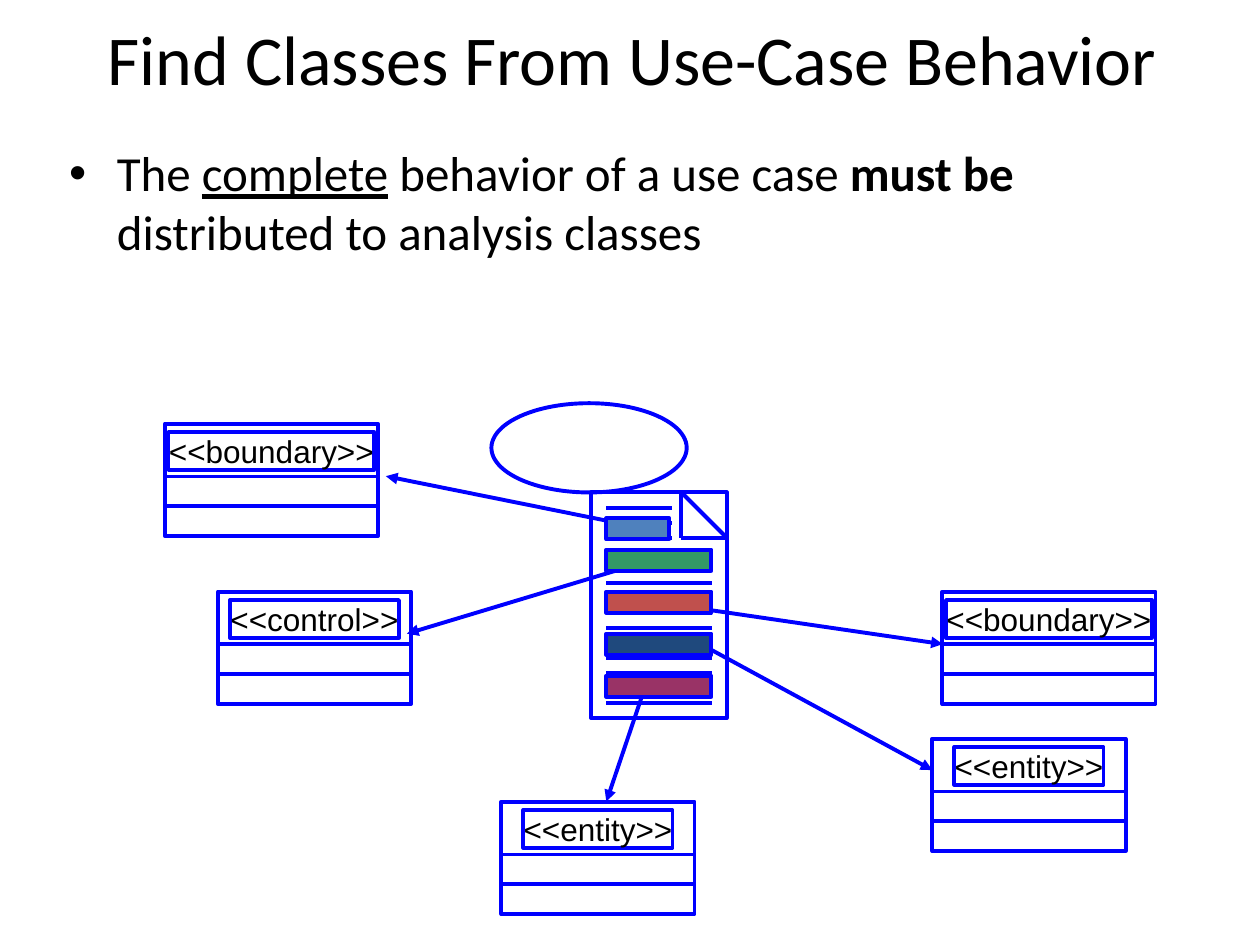
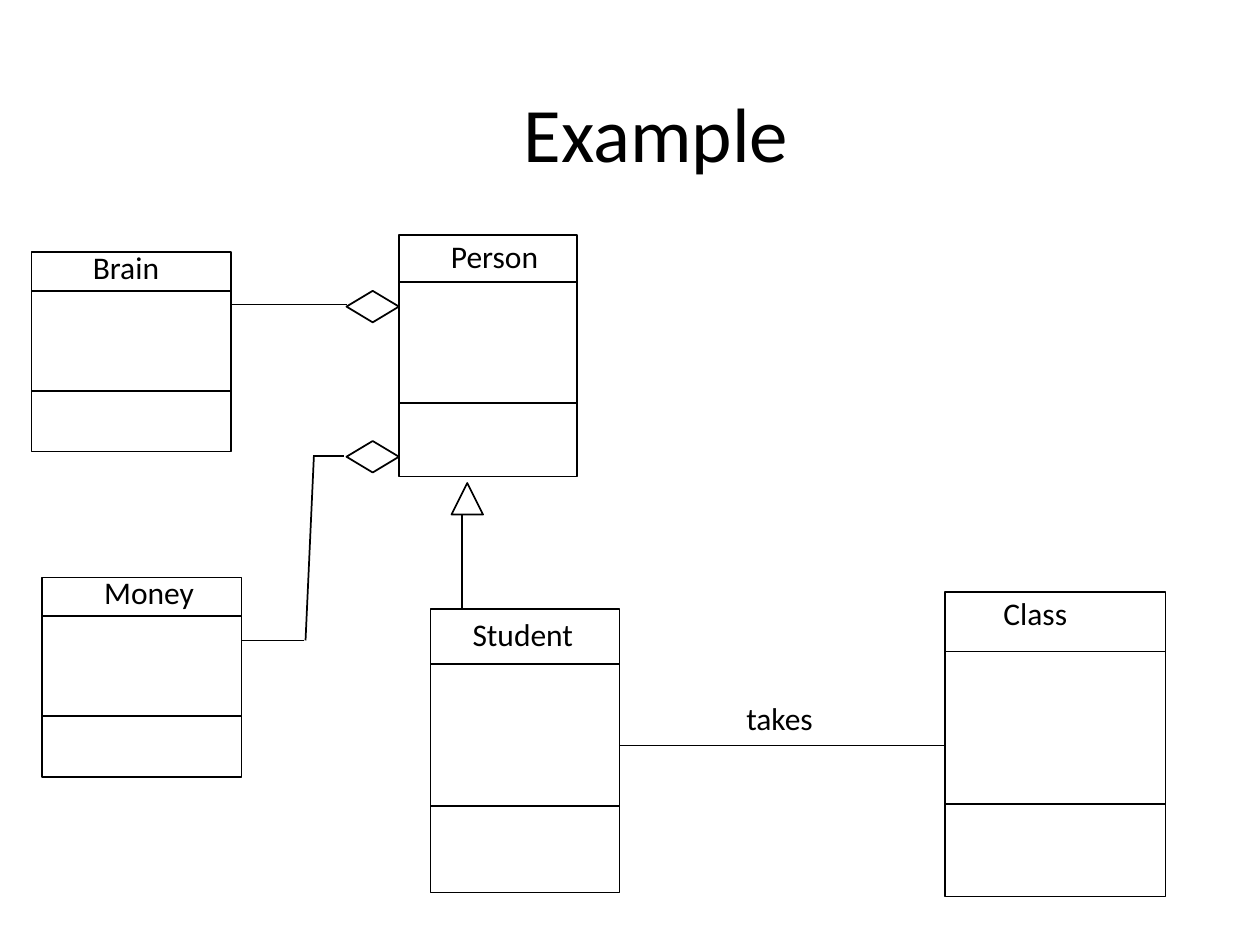
from lxml.etree import SubElement
from pptx import Presentation
from pptx.dml.color import RGBColor
from pptx.enum.shapes import MSO_CONNECTOR, MSO_SHAPE
from pptx.enum.text import MSO_ANCHOR, PP_ALIGN
from pptx.oxml.ns import qn
from pptx.util import Inches, Pt

BLUE = RGBColor(0x00, 0x00, 0xFF)
BLACK = RGBColor(0x00, 0x00, 0x00)
STEEL = RGBColor(0x4F, 0x81, 0xBD)
GREEN = RGBColor(0x33, 0x99, 0x66)
RED = RGBColor(0xC0, 0x50, 0x4D)
NAVY = RGBColor(0x1F, 0x49, 0x7D)
PLUM = RGBColor(0x99, 0x33, 0x66)

BLUE_PEN = {"color": BLUE, "width": Pt(2.25)}
BLACK_PEN = {"color": BLACK, "width": Pt(1)}
ARIAL_LABEL = {"name": "Arial", "size": Pt(18)}
CALIBRI_LABEL = {"name": "Calibri", "size": Pt(18)}

presentation = Presentation()
presentation.slide_width = Inches(10)
presentation.slide_height = Inches(7.5)
blank = presentation.slide_layouts[6]
behavior_slide = presentation.slides.add_slide(blank)
example_slide = presentation.slides.add_slide(blank)

# The slide is a grid of 120 columns and 90 rows of square cells.
CELL = presentation.slide_width / 120


def add_box(slide, box, preset=None, pen=None, fill=None, runs=(), font=None,
            align=PP_ALIGN.CENTER, wrap=False):
    """Add a preset shape, or a text box if there is no preset; box is in cells."""
    bounds = [round(length * CELL) for length in box]
    if preset is None:
        shape = slide.shapes.add_textbox(*bounds)
    else:
        shape = slide.shapes.add_shape(preset, *bounds)
        shape.shadow.inherit = False
        if fill is None:
            shape.fill.background()
        else:
            shape.fill.solid()
            shape.fill.fore_color.rgb = fill
        shape.line.color.rgb = pen["color"]
        shape.line.width = pen["width"]
    frame = shape.text_frame
    frame.word_wrap = wrap
    frame.vertical_anchor = MSO_ANCHOR.MIDDLE
    if preset is not None:
        for side in ("left", "top", "right", "bottom"):
            setattr(frame, f"margin_{side}", 0)
    paragraph = frame.paragraphs[0]
    paragraph.alignment = align
    for text, emphasis in runs:
        run = paragraph.add_run()
        run.text = text
        run.font.color.rgb = BLACK
        for attribute, value in {**font, **emphasis}.items():
            setattr(run.font, attribute, value)
    return shape


def add_line(slide, start, end, pen, arrow=False):
    """Join two points given in cells."""
    points = [round(length * CELL) for length in (*start, *end)]
    connector = slide.shapes.add_connector(MSO_CONNECTOR.STRAIGHT, *points)
    connector.line.color.rgb = pen["color"]
    connector.line.width = pen["width"]
    properties = connector._element.spPr
    if arrow:
        SubElement(properties.find(qn("a:ln")), qn("a:tailEnd"), type="triangle")
    SubElement(properties, qn("a:effectLst"))


# Titles
for slide, title, box, size in (
    (behavior_slide, "Find Classes From Use-Case Behavior", (1.2, 2, 118, 7), 40),
    (example_slide, "Example", (5, 5, 115, 15), 44),
):
    add_box(slide, box, runs=[(title, {})], wrap=True,
            font={"name": "Calibri", "size": Pt(size)})

# Statement
statement = add_box(
    behavior_slide, (5.4, 13, 111.4, 22), wrap=True, align=PP_ALIGN.LEFT,
    font={"name": "Calibri", "size": Pt(28)},
    runs=[
        ("The ", {}),
        ("complete", {"underline": True}),
        (" behavior of a use case ", {}),
        ("must be ", {"bold": True}),
        ("distributed to analysis classes", {}),
    ],
)
statement.text_frame.vertical_anchor = MSO_ANCHOR.TOP
bullet_properties = statement.text_frame.paragraphs[0]._p.get_or_add_pPr()
bullet_properties.set("marL", str(Inches(0.38)))
bullet_properties.set("indent", str(-Inches(0.38)))
SubElement(bullet_properties, qn("a:buFont"), typeface="Arial")
SubElement(bullet_properties, qn("a:buChar"), char="•")

# Use case and its document with a folded corner
add_box(behavior_slide, (46.8, 38.4, 18.6, 8.5), MSO_SHAPE.OVAL, BLUE_PEN)
add_box(behavior_slide, (56.3, 46.9, 12.9, 21.5), MSO_SHAPE.RECTANGLE, BLUE_PEN)
fold_top, fold_corner, fold_right = (64.9, 46.9), (64.9, 51.2), (69.2, 51.2)
for start, end in ((fold_top, fold_right), (fold_top, fold_corner),
                   (fold_right, fold_corner)):
    add_line(behavior_slide, start, end, BLUE_PEN)

TEXT_LEFT = 57.75
for row in range(14):
    line_top = 48.36 + 1.43 * row
    line_right = 64 if row < 3 else 67.8
    add_line(behavior_slide, (TEXT_LEFT, line_top), (line_right, line_top), BLUE_PEN)

# Arrows from passages to classes, with the passages on top
for passage_point, class_point in (
    ((61.8, 50.4), (36.75, 45.35)),
    ((62.8, 57.4), (89.8, 61.35)),
    ((61.8, 64.35), (57.75, 76.35)),
    ((66.75, 61.35), (88.8, 73.35)),
    ((61.8, 53.4), (38.75, 60.35)),
):
    add_line(behavior_slide, passage_point, class_point, BLUE_PEN, arrow=True)

add_box(behavior_slide, (TEXT_LEFT, 49.35, 6, 2), MSO_SHAPE.RECTANGLE, BLUE_PEN, STEEL)
for row, color in enumerate((GREEN, RED, NAVY, PLUM)):
    add_box(behavior_slide, (TEXT_LEFT, 52.35 + 4 * row, 10, 2),
            MSO_SHAPE.RECTANGLE, BLUE_PEN, color)

# Analysis classes: name, left, top, width, label width
for name, left, top, width, label_width in (
    ("<<boundary>>", 15.7, 40.35, 20.3, 19.6),
    ("<<boundary>>", 89.75, 56.35, 20.3, 19.6),
    ("<<control>>", 20.75, 56.35, 18.4, 16.1),
    ("<<entity>>", 47.75, 76.35, 18.4, 14.2),
    ("<<entity>>", 88.8, 70.35, 18.4, 14.2),
):
    height = 10.7
    add_box(behavior_slide, (left, top, width, height), MSO_SHAPE.RECTANGLE, BLUE_PEN)
    for share in (0.47, 0.73):
        divider = top + share * height
        add_line(behavior_slide, (left, divider), (left + width, divider), BLUE_PEN)
    label_left = left + (width - label_width) / 2
    add_box(behavior_slide, (label_left, top + 0.8, label_width, 3.6),
            MSO_SHAPE.RECTANGLE, BLUE_PEN, runs=[(name, {})], font=ARIAL_LABEL)

# Example classes: name, box, label centre, label top
for name, (left, top, width, height), label_centre, label_top in (
    ("Person", (38, 22.4, 17, 23), 47.1, 22),
    ("Student", (41, 58, 18, 27), 49.8, 58),
    ("Class", (90, 56.4, 21, 29), 98.6, 56),
    ("Brain", (3, 24, 19, 19), 12, 23),
    ("Money", (4, 55, 19, 19), 14.2, 54),
):
    add_box(example_slide, (left, top, width, height), MSO_SHAPE.RECTANGLE, BLACK_PEN)
    for share in (0.195, 0.695):
        divider = top + share * height
        add_line(example_slide, (left, divider), (left + width, divider), BLACK_PEN)
    add_box(example_slide, (label_centre - 6, label_top, 12, 4.8),
            runs=[(name, {})], font=CALIBRI_LABEL)

# Inheritance, aggregation and association
add_box(example_slide, (43, 46, 3, 3), MSO_SHAPE.ISOSCELES_TRIANGLE, BLACK_PEN)
for top in (27.7, 42):
    add_box(example_slide, (33, top, 5, 3), MSO_SHAPE.DIAMOND, BLACK_PEN)
for start, end in (
    ((44, 49), (44, 58)),
    ((59, 71), (90, 71)),
    ((33, 29), (22, 29)),
    ((29.8, 43.4), (32.8, 43.4)),
    ((29.1, 61), (29.9, 43.4)),
    ((29, 61), (23, 61)),
):
    add_line(example_slide, start, end, BLACK_PEN)
add_box(example_slide, (69.8, 66, 8.9, 4.8), runs=[("takes", {})], font=CALIBRI_LABEL)

presentation.save("out.pptx")
